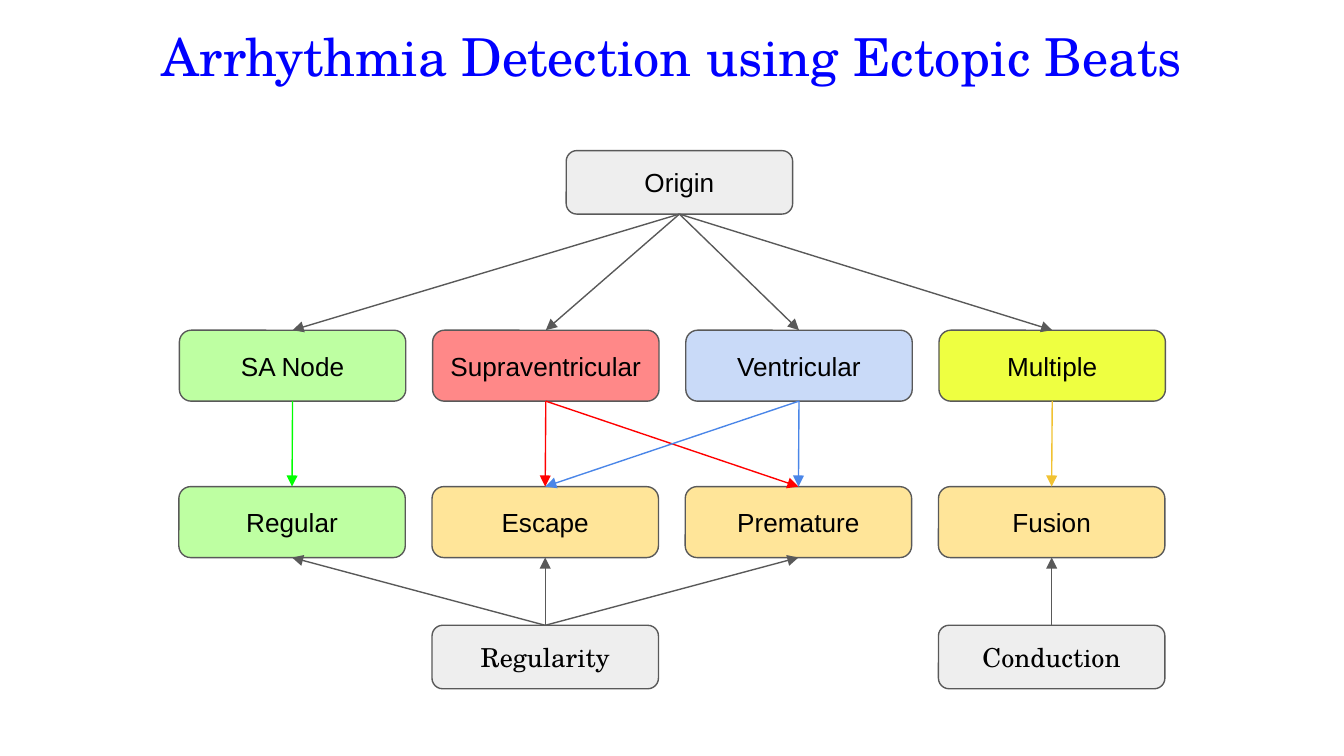
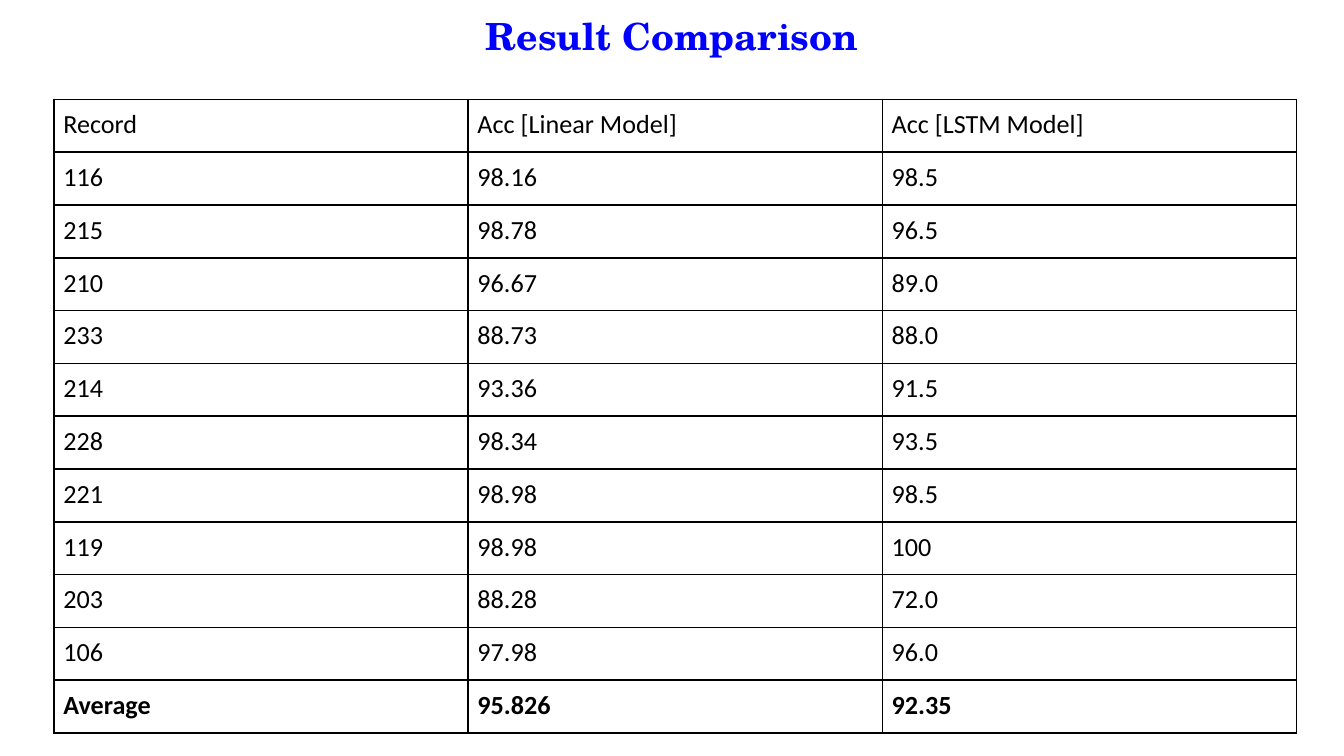
from lxml import etree
from pptx import Presentation
from pptx import util as u
from pptx.dml.color import RGBColor
from pptx.enum import shapes, text
from pptx.oxml.ns import qn

Pt = u.Pt

COLORS = {
    "title": "0000FF", "text": "000000", "outline": "595959",
    "gray": "EEEEEE", "mint": "BEFFA2", "coral": "FF8888",
    "sky": "C9DAF8", "lemon": "EEFF41", "sand": "FFE599",
    "green": "00FF00", "red": "FF0000", "blue": "4A86E8", "gold": "F1C232",
}
SERIF, SANS, TABLE_FONT = "TeX Gyre Schola", "Arial", "Calibri"

PITCH, BOX_W = 135.65, 121.3
ROWS = {"origin": (95.8, 80.7, 34), "source": (96.1, 176.9, 38),
        "beat": (95.8, 260.7, 38), "basis": (95.8, 335, 34)}

BOXES = [
    ("Origin", "origin", 1.53, "gray", SANS),
    ("SA Node", "source", 0, "mint", SANS),
    ("Supraventricular", "source", 1, "coral", SANS),
    ("Ventricular", "source", 2, "sky", SANS),
    ("Multiple", "source", 3, "lemon", SANS),
    ("Regular", "beat", 0, "mint", SANS),
    ("Escape", "beat", 1, "sand", SANS),
    ("Premature", "beat", 2, "sand", SANS),
    ("Fusion", "beat", 3, "sand", SANS),
    ("Regularity", "basis", 1, "gray", SERIF),
    ("Conduction", "basis", 3, "gray", SERIF),
]
TOP, BOTTOM = 0, 2
DOWN = [
    ("Origin", ["SA Node", "Supraventricular", "Ventricular", "Multiple"], "outline"),
    ("SA Node", ["Regular"], "green"),
    ("Supraventricular", ["Escape", "Premature"], "red"),
    ("Ventricular", ["Escape", "Premature"], "blue"),
    ("Multiple", ["Fusion"], "gold"),
]
UP = [
    ("Regularity", ["Regular", "Escape", "Premature"], "outline"),
    ("Conduction", ["Fusion"], "outline"),
]

RESULTS = [
    ("Record", "Acc [Linear Model]", "Acc [LSTM Model]"),
    ("116", "98.16", "98.5"),
    ("215", "98.78", "96.5"),
    ("210", "96.67", "89.0"),
    ("233", "88.73", "88.0"),
    ("214", "93.36", "91.5"),
    ("228", "98.34", "93.5"),
    ("221", "98.98", "98.5"),
    ("119", "98.98", "100"),
    ("203", "88.28", "72.0"),
    ("106", "97.98", "96.0"),
    ("Average", "95.826", "92.35"),
]
COL_W, ROW_H, CELL_MARGIN = 221.9, 28.3, 5


def rgb(name):
    return RGBColor.from_string(COLORS[name])


def resize(prs, width, height):
    ratio = height / prs.slide_height
    for page in [*prs.slide_layouts, prs.slide_master]:
        for sp in page.placeholders:
            box = sp.left, int(sp.top * ratio), sp.width, int(sp.height * ratio)
            sp.left, sp.top, sp.width, sp.height = box
    prs.slide_width, prs.slide_height = width, height


def write(tf, words, font, size, color="text", align=None, bold=False):
    p = tf.paragraphs[0]
    p.alignment = align
    r = p.add_run()
    r.text = words
    r.font.name, r.font.size, r.font.bold = font, Pt(size), bold
    r.font.color.rgb = rgb(color)


def set_insets(tf):
    tf.margin_left = tf.margin_right = tf.margin_top = tf.margin_bottom = Pt(7.2)


def add_slide(prs, title, box, size, bold=False):
    s = prs.slides.add_slide(prs.slide_layouts[5])
    sp = s.shapes.title
    sp.left, sp.top, sp.width, sp.height = (Pt(v) for v in box)
    tf = sp.text_frame
    tf.word_wrap = True
    tf.auto_size = text.MSO_AUTO_SIZE.NONE
    tf.vertical_anchor = text.MSO_ANCHOR.TOP
    set_insets(tf)
    write(tf, title, SERIF, size, "title", text.PP_ALIGN.CENTER, bold)
    return s


def add_box(s, label, row, col, color, font):
    left, top, height = ROWS[row]
    sp = s.shapes.add_shape(shapes.MSO_SHAPE.ROUNDED_RECTANGLE,
                            Pt(left + col * PITCH), Pt(top), Pt(BOX_W), Pt(height))
    sp.shadow.inherit = False
    sp.fill.solid()
    sp.fill.fore_color.rgb = rgb(color)
    sp.line.color.rgb = rgb("outline")
    sp.line.width = Pt(0.75)
    tf = sp.text_frame
    tf.word_wrap = True
    tf.vertical_anchor = text.MSO_ANCHOR.MIDDLE
    set_insets(tf)
    write(tf, label, font, 14, align=text.PP_ALIGN.CENTER)
    return sp


def add_arrow(s, start, start_side, end, end_side, color):
    c = s.shapes.add_connector(shapes.MSO_CONNECTOR.STRAIGHT, 0, 0, 0, 0)
    c.begin_connect(start, start_side)
    c.end_connect(end, end_side)
    c.line.color.rgb = rgb(color)
    c.line.width = Pt(0.75)
    etree.SubElement(c.line._get_or_add_ln(), qn("a:tailEnd"), type="triangle")
    etree.SubElement(c._element.spPr, qn("a:effectLst"))


def add_borders(cell):
    tcPr = cell._tc.get_or_add_tcPr()
    for side in ("lnL", "lnR", "lnT", "lnB"):
        ln = etree.SubElement(tcPr, qn("a:" + side), w=str(Pt(1)))
        fill = etree.SubElement(ln, qn("a:solidFill"))
        etree.SubElement(fill, qn("a:srgbClr"), val=COLORS["text"])


def build_diagram(prs):
    s = add_slide(prs, "Arrhythmia Detection using Ectopic Beats",
                  (24.5, 5.8, 671, 47.5), 28)
    boxes = {box[0]: add_box(s, *box) for box in BOXES}
    for links, start_side, end_side in ((DOWN, BOTTOM, TOP), (UP, TOP, BOTTOM)):
        for start, ends, color in links:
            for end in ends:
                add_arrow(s, boxes[start], start_side, boxes[end], end_side, color)


def build_results(prs):
    s = add_slide(prs, "Result Comparison", (14.8, 0, 690.5, 45.4), 20, True)
    n_rows, n_cols = len(RESULTS), len(RESULTS[0])
    table = s.shapes.add_table(n_rows, n_cols, Pt(28.9), Pt(53.25),
                               Pt(COL_W * n_cols), Pt(ROW_H * n_rows)).table
    table.first_row = table.horz_banding = False
    for col in table.columns:
        col.width = Pt(COL_W)
    for row, values in zip(table.rows, RESULTS):
        row.height = Pt(ROW_H)
        for cell, value in zip(row.cells, values):
            cell.margin_left = cell.margin_right = Pt(CELL_MARGIN)
            cell.margin_top = cell.margin_bottom = Pt(CELL_MARGIN)
            add_borders(cell)
            cell.fill.background()
            write(cell.text_frame, value, TABLE_FONT, 14, bold=values[0] == "Average")


def main():
    prs = Presentation()
    resize(prs, Pt(720), Pt(405))
    build_diagram(prs)
    build_results(prs)
    prs.save("out.pptx")


if __name__ == "__main__":
    main()
